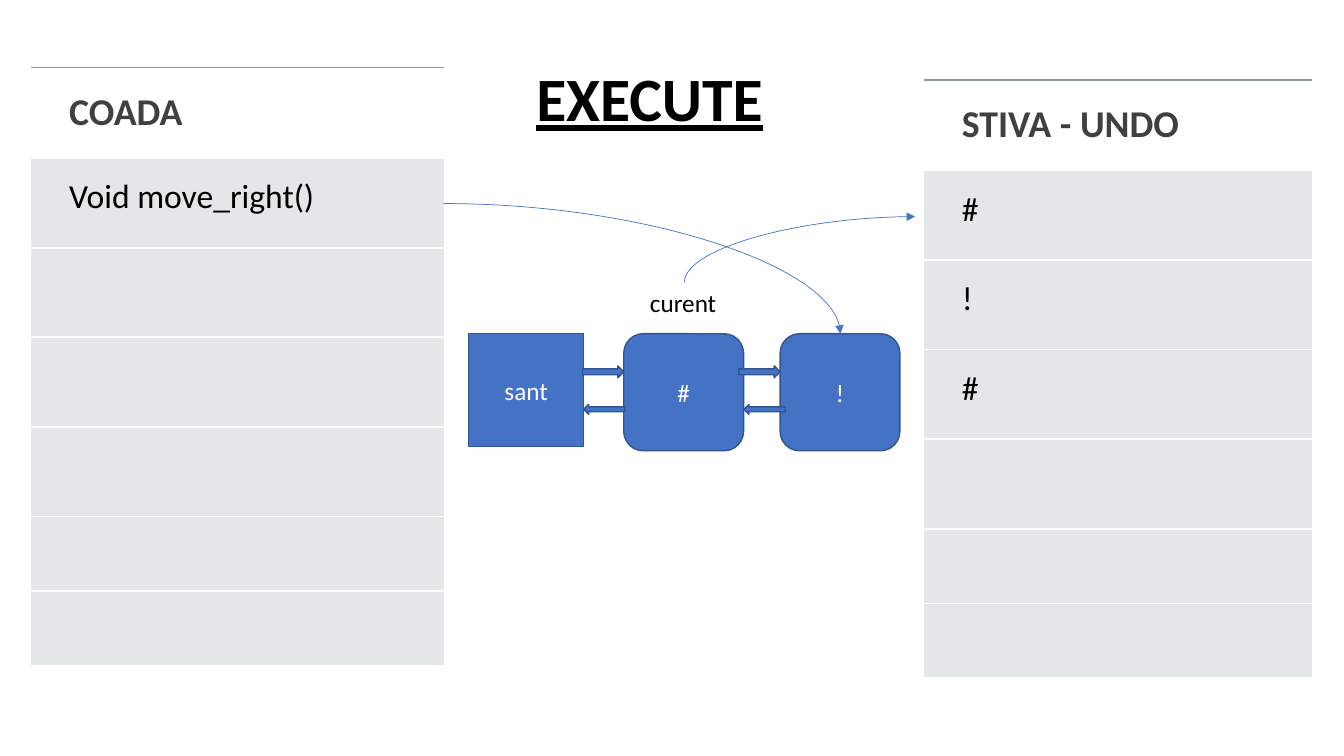
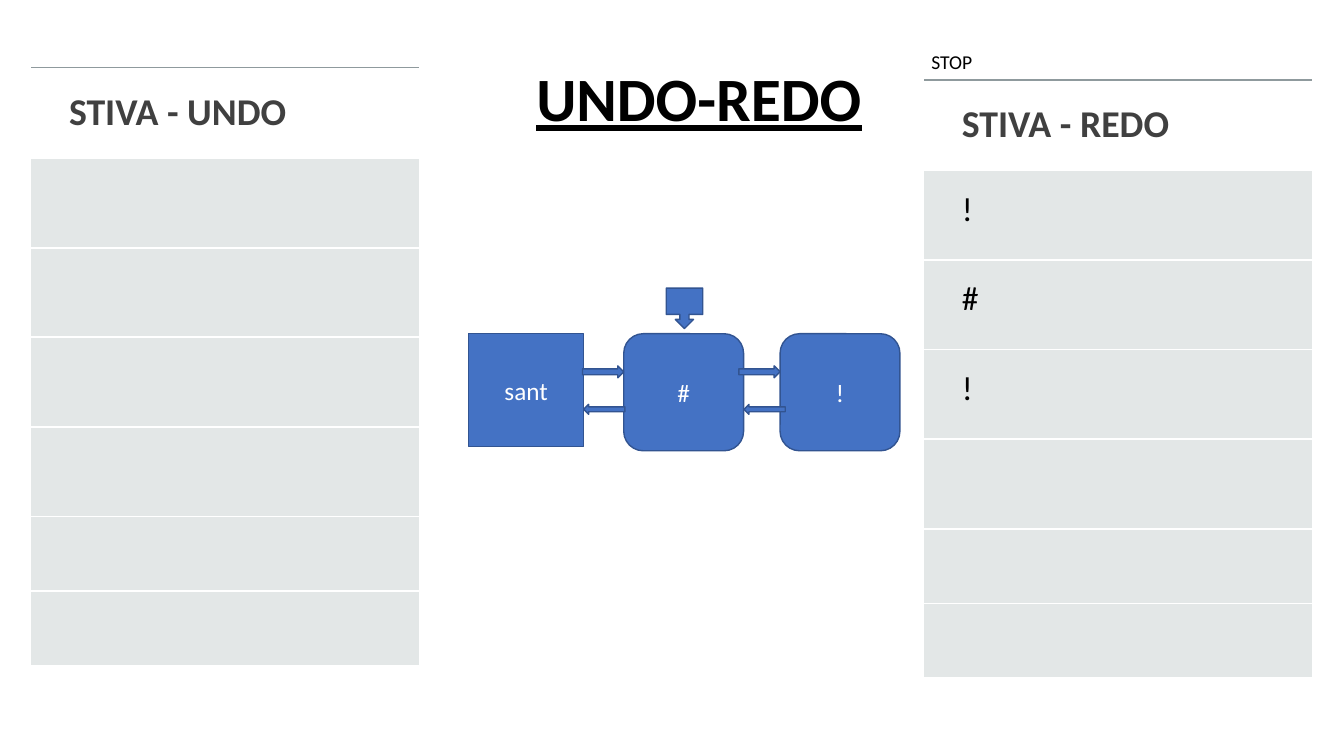
import pptx
import pptx.dml.color
import pptx.enum.shapes
import pptx.enum.text
import pptx.oxml
import pptx.oxml.ns
import pptx.util

Cm = pptx.util.Cm
Pt = pptx.util.Pt
RGBColor = pptx.dml.color.RGBColor
MSO_SHAPE = pptx.enum.shapes.MSO_SHAPE
MSO_CONNECTOR = pptx.enum.shapes.MSO_CONNECTOR
MSO_ANCHOR = pptx.enum.text.MSO_ANCHOR
MSO_AUTO_SIZE = pptx.enum.text.MSO_AUTO_SIZE
PP_ALIGN = pptx.enum.text.PP_ALIGN

BLACK = RGBColor(0x00, 0x00, 0x00)
WHITE = RGBColor(0xFF, 0xFF, 0xFF)
BLUE = RGBColor(0x44, 0x72, 0xC4)
DARK_BLUE = RGBColor(0x32, 0x54, 0x91)
HEADING_GRAY = RGBColor(0x40, 0x40, 0x40)
RULE_GRAY = RGBColor(0x8F, 0x9A, 0x9D)
CELL_GRAY = RGBColor(0xE3, 0xE7, 0xE7)

FONT = "Calibri"
TITLE_FORMAT = {"size": Pt(44), "bold": True, "underline": True}
HEADING_FORMAT = {"size": Pt(27), "bold": True}
ENTRY_FORMAT = {"size": Pt(24), "bold": False}
NODE_FORMAT = {"size": Pt(18)}
NOTE_FORMAT = {"size": Pt(14)}

ROW_HEIGHTS = [2.11] + [2.26] * 4 + [1.88] * 2
LEFT_TABLE = (0.79, 1.7)
RIGHT_TABLE = (23.29, 2.01)
TABLE_WIDTH = 9.78
QUEUE_WIDTH = 10.39


def element(markup):
    """Parse markup, declaring the drawing namespace at its first space."""
    namespaces = pptx.oxml.ns.nsdecls("a")
    return pptx.oxml.parse_xml(markup.replace(" ", f" {namespaces} ", 1))


class Deck:
    """Holds the shared style and the slide being built."""

    def __init__(self):
        self.presentation = pptx.Presentation()
        self.presentation.slide_width = Cm(33.87)
        self.presentation.slide_height = Cm(19.05)
        self.slide = None

    def fill_text(self, text_frame, text, color, font_format):
        paragraph = text_frame.paragraphs[0]
        run = paragraph.add_run()
        run.text = text
        run.font.name = FONT
        run.font.color.rgb = color
        for name, value in font_format.items():
            setattr(run.font, name, value)
        return paragraph

    def add_slide(self, title):
        layout = self.presentation.slide_layouts[5]
        self.slide = self.presentation.slides.add_slide(layout)
        shape = self.slide.shapes.title
        place = {"left": 13.26, "top": 0.71, "width": 10.39, "height": 3.71}
        for name, value in place.items():
            setattr(shape, name, Cm(value))
        shape.text_frame.auto_size = MSO_AUTO_SIZE.NONE
        shape.text_frame.vertical_anchor = MSO_ANCHOR.MIDDLE
        paragraph = self.fill_text(shape.text_frame, title, BLACK, TITLE_FORMAT)
        paragraph.alignment = PP_ALIGN.LEFT
        paragraph.line_spacing = 0.9

    def add_text(self, left, top, width, height, text, font_format, wrap):
        shape = self.slide.shapes.add_textbox(Cm(left), Cm(top), Cm(width), Cm(height))
        shape.text_frame.word_wrap = wrap
        shape.text_frame.auto_size = MSO_AUTO_SIZE.SHAPE_TO_FIT_TEXT
        self.fill_text(shape.text_frame, text, BLACK, font_format)

    def add_shape(self, kind, left, top, width, height, text=""):
        shape = self.slide.shapes.add_shape(kind, Cm(left), Cm(top), Cm(width), Cm(height))
        shape.shadow.inherit = False
        shape.fill.solid()
        shape.fill.fore_color.rgb = BLUE
        shape.line.color.rgb = DARK_BLUE
        shape.line.width = Pt(1)
        if text:
            shape.text_frame.vertical_anchor = MSO_ANCHOR.MIDDLE
            paragraph = self.fill_text(shape.text_frame, text, WHITE, NODE_FORMAT)
            paragraph.alignment = PP_ALIGN.CENTER

    def add_curve(self, begin, end, leaves_vertically=False):
        """Draw a quarter-bend arrow; a vertical start is a quarter turn of a horizontal one."""
        if leaves_vertically:
            center_x, center_y = (begin[0] + end[0]) / 2, (begin[1] + end[1]) / 2
            offset_x, offset_y = begin[1] - center_y, center_x - begin[0]
            begin = (center_x + offset_x, center_y + offset_y)
            end = (center_x - offset_x, center_y - offset_y)
        points = [Cm(value) for value in (*begin, *end)]
        connector = self.slide.shapes.add_connector(MSO_CONNECTOR.CURVE, *points)
        connector.line.color.rgb = BLUE
        connector.line.width = Pt(0.5)
        properties = connector._element.spPr
        properties.find(pptx.oxml.ns.qn("a:prstGeom")).set("prst", "curvedConnector2")
        if leaves_vertically:
            properties.find(pptx.oxml.ns.qn("a:xfrm")).set("rot", "5400000")
        line = properties.find(pptx.oxml.ns.qn("a:ln"))
        line.append(element('<a:tailEnd type="triangle"/>'))
        properties.append(element("<a:effectLst />"))

    def set_borders(self, cell, top_color):
        properties = cell._tc.get_or_add_tcPr()
        sides = {"lnL": None, "lnR": None, "lnT": top_color, "lnB": WHITE}
        for position, (side, color) in enumerate(sides.items()):
            paint = "<a:noFill/>"
            if color is not None:
                paint = f'<a:solidFill><a:srgbClr val="{color}"/></a:solidFill>'
            properties.insert(position, element(f'<a:{side} w="19050">{paint}</a:{side}>'))

    def add_table(self, position, width, heading, entries):
        left, top = position
        frame = self.slide.shapes.add_table(
            len(ROW_HEIGHTS), 1, Cm(left), Cm(top), Cm(width), Cm(sum(ROW_HEIGHTS)))
        table = frame.table
        table.first_row = False
        table.horz_banding = False
        texts = [heading, *entries]
        for index, height in enumerate(ROW_HEIGHTS):
            table.rows[index].height = Cm(height)
            cell = table.cell(index, 0)
            is_heading = index == 0
            if is_heading:
                cell.fill.background()
            else:
                cell.fill.solid()
                cell.fill.fore_color.rgb = CELL_GRAY
            self.set_borders(cell, RULE_GRAY if is_heading else WHITE)
            if index < len(texts):
                inset = Cm(0.56 if is_heading else 0.48)
                margins = {"margin_left": Cm(0.95), "margin_top": inset,
                           "margin_right": inset, "margin_bottom": inset}
                for name, value in margins.items():
                    setattr(cell, name, value)
                color = HEADING_GRAY if is_heading else BLACK
                font_format = HEADING_FORMAT if is_heading else ENTRY_FORMAT
                self.fill_text(cell.text_frame, texts[index], color, font_format)

    def add_linked_list(self):
        self.add_shape(MSO_SHAPE.RECTANGLE, 11.81, 8.41, 2.9, 2.85, "sant")
        for left, text in ((15.72, "#"), (19.66, "!")):
            self.add_shape(MSO_SHAPE.ROUNDED_RECTANGLE, left, 8.41, 3.02, 2.95, text)
        for left in (14.68, 18.62):
            self.add_shape(MSO_SHAPE.RIGHT_ARROW, left, 9.22, 1.04, 0.3)
        for left in (14.71, 18.75):
            self.add_shape(MSO_SHAPE.LEFT_ARROW, left, 10.19, 1.04, 0.25)


def main():
    deck = Deck()

    deck.add_slide("EXECUTE")
    deck.add_table(LEFT_TABLE, QUEUE_WIDTH, "COADA", ["Void move_right()"])
    deck.add_table(RIGHT_TABLE, TABLE_WIDTH, "STIVA - UNDO", ["#", "!", "#"])
    deck.add_linked_list()
    deck.add_text(16.13, 7.11, 2.21, 1.02, "curent", NODE_FORMAT, wrap=False)
    deck.add_curve((11.18, 5.13), (21.18, 8.41))
    deck.add_curve((17.25, 7.11), (23.06, 5.46), leaves_vertically=True)

    deck.add_slide("UNDO-REDO")
    deck.add_table(LEFT_TABLE, TABLE_WIDTH, "STIVA - UNDO", [])
    deck.add_table(RIGHT_TABLE, TABLE_WIDTH, "STIVA - REDO", ["!", "#", "!"])
    deck.add_linked_list()
    deck.add_shape(MSO_SHAPE.DOWN_ARROW_CALLOUT, 16.79, 7.26, 0.92, 1.02)
    deck.add_text(23.22, 1.14, 2.08, 0.86, "STOP", NOTE_FORMAT, wrap=True)

    deck.presentation.save("out.pptx")


if __name__ == "__main__":
    main()
